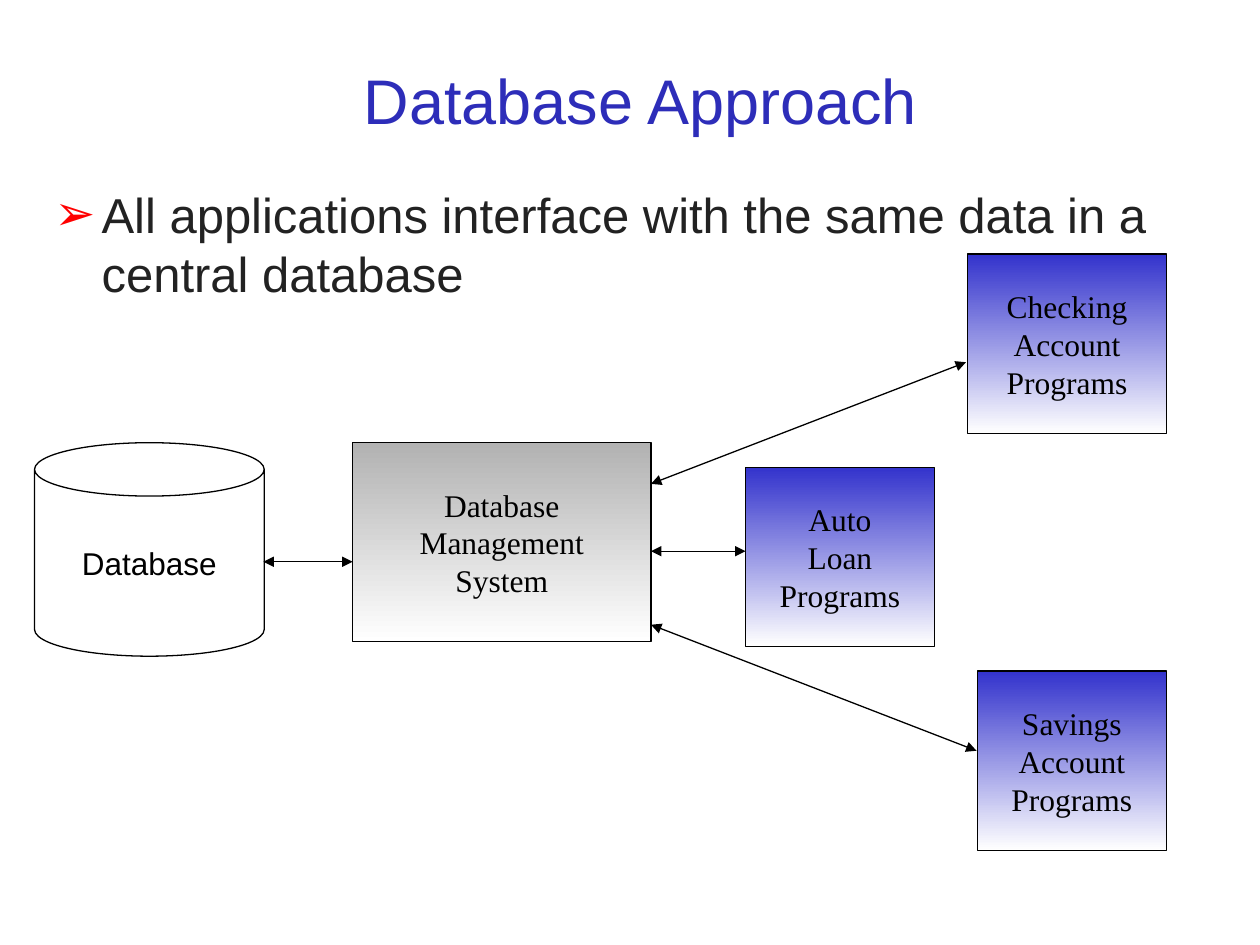
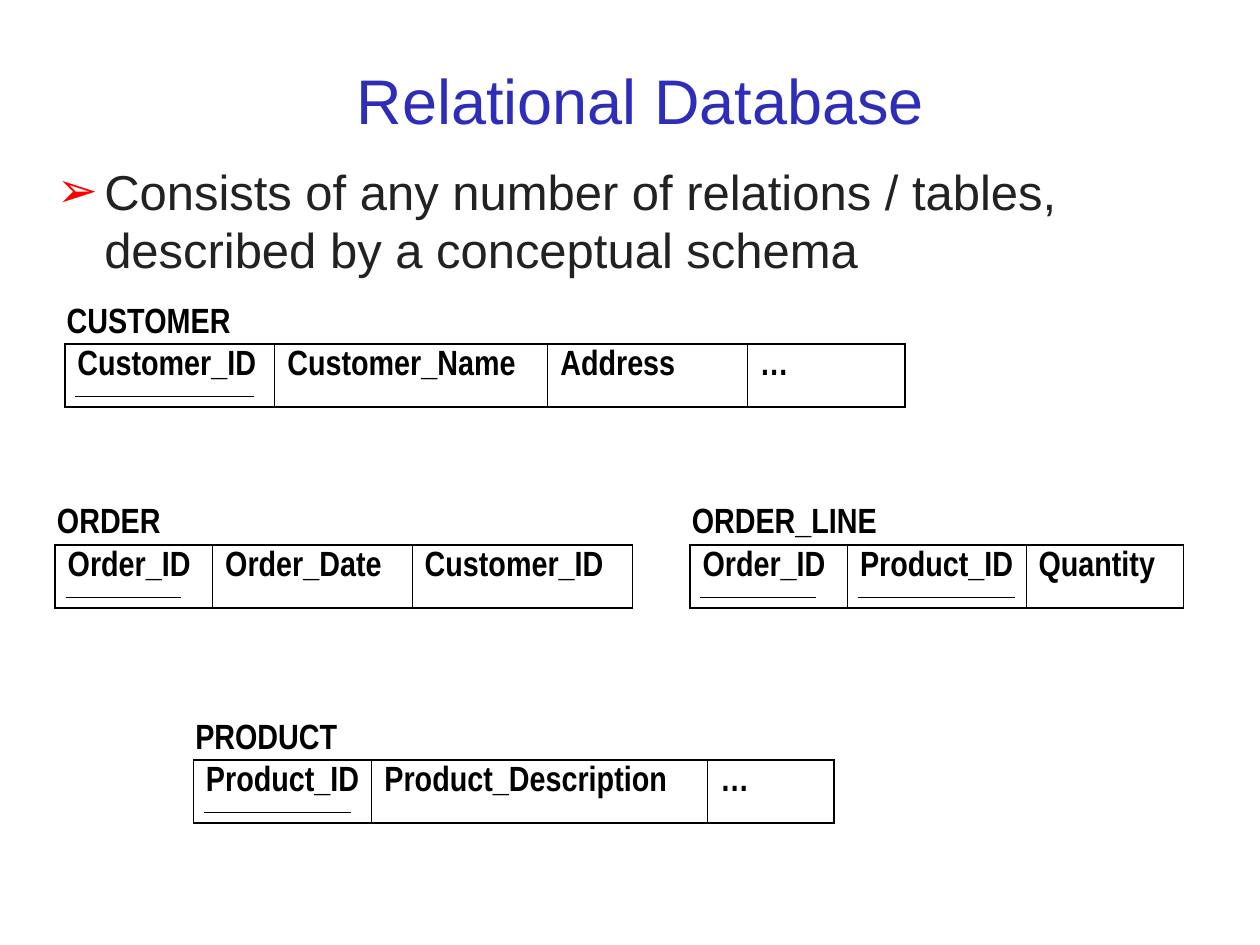
"""Build two slides on the database approach and relational schemas."""
from dataclasses import dataclass

from lxml.etree import SubElement
from pptx import Presentation
from pptx.dml.color import RGBColor
from pptx.enum.shapes import MSO_CONNECTOR, MSO_SHAPE
from pptx.enum.text import MSO_ANCHOR, PP_ALIGN
from pptx.oxml import parse_xml
from pptx.oxml.ns import nsdecls, qn
from pptx.slide import Slide
from pptx.table import _Cell
from pptx.text.text import TextFrame, _Paragraph
from pptx.util import Pt

COLORS = {
    "title": "2D2DB9",
    "body": "222222",
    "bullet": "FF0000",
    "ink": "000000",
    "paper": "FFFFFF",
    "system": "B2B2B2",
    "program": "3333CC",
}
LINE_WIDTH = 0.75
OUTER_BORDER, INNER_BORDER = 1.08, 0.45
ROW_HEIGHT = 36
BULLET_INDENT = 27


@dataclass(frozen=True)
class Component:
    lines: tuple[str, ...]
    left: float
    top: float
    width: float
    height: float
    color: str = "program"
    outline: MSO_SHAPE = MSO_SHAPE.RECTANGLE
    font: str = "Times New Roman"


@dataclass(frozen=True)
class Link:
    x1: float
    y1: float
    x2: float
    y2: float


@dataclass(frozen=True)
class Field:
    name: str
    width: float
    key_length: float = 0


@dataclass(frozen=True)
class Relation:
    name: str
    left: float
    top: float
    fields: tuple[Field, ...]


COMPONENTS = (
    Component(("Database", "Management", "System"), 201.5, 253, 170.5, 113.75, "system"),
    Component(("Checking", "Account", "Programs"), 552.75, 145.25, 114, 102.5),
    Component(("Auto", "Loan", "Programs"), 426, 267, 108, 102.5),
    Component(("Savings", "Account", "Programs"), 558.5, 383.5, 108, 102.5),
    Component(("Database",), 19.75, 253, 131.25, 122, "paper", MSO_SHAPE.CAN, "Arial"),
)
LINKS = (
    Link(150.5, 321, 201.5, 321),
    Link(372, 276.5, 552, 207),
    Link(372, 315, 426, 315),
    Link(372, 357, 558, 429),
)
RELATIONS = (
    Relation("CUSTOMER", 37, 196.5, (
        Field("Customer_ID", 120, 102), Field("Customer_Name", 156),
        Field("Address", 114), Field("…", 90))),
    Relation("ORDER", 31.5, 311.25, (
        Field("Order_ID", 90, 66), Field("Order_Date", 114),
        Field("Customer_ID", 126))),
    Relation("ORDER_LINE", 394.25, 311.25, (
        Field("Order_ID", 90, 66), Field("Product_ID", 102, 90),
        Field("Quantity", 90))),
    Relation("PRODUCT", 110.5, 434.25, (
        Field("Product_ID", 102, 84), Field("Product_Description", 192),
        Field("…", 72))),
)


def rgb(color: str) -> RGBColor:
    """Return the named palette colour."""
    return RGBColor.from_string(COLORS[color])


def style(paragraph: _Paragraph, font: str, size: float, color: str = "ink",
          bold: bool = False) -> None:
    """Set the font shared by every run of a paragraph."""
    paragraph.font.name = font
    paragraph.font.size = Pt(size)
    paragraph.font.bold = bold
    paragraph.font.color.rgb = rgb(color)


def add_text_area(slide: Slide, left: float, top: float, width: float, height: float) -> TextFrame:
    """Add an empty wrapping text box and return its frame."""
    frame = slide.shapes.add_textbox(Pt(left), Pt(top), Pt(width), Pt(height)).text_frame
    frame.word_wrap = True
    return frame


def add_topic(deck: Presentation, title: str, statement: str, left: float, top: float,
              width: float, height: float) -> Slide:
    """Add a slide with its title and bulleted statement."""
    slide = deck.slides.add_slide(deck.slide_layouts[6])
    slide.background.fill.solid()
    slide.background.fill.fore_color.rgb = rgb("paper")

    heading = add_text_area(slide, 24, 12, 684, 90)
    heading.vertical_anchor = MSO_ANCHOR.MIDDLE
    heading.text = title
    heading.paragraphs[0].alignment = PP_ALIGN.CENTER
    style(heading.paragraphs[0], "Arial", 36, "title")

    body = add_text_area(slide, left, top, width, height)
    body.text = statement
    bullet = body.paragraphs[0]
    properties = bullet._p.get_or_add_pPr()
    properties.set("marL", str(Pt(BULLET_INDENT)))
    properties.set("indent", str(-Pt(BULLET_INDENT)))
    bullet_color = SubElement(properties, qn("a:buClr"))
    SubElement(bullet_color, qn("a:srgbClr"), val=COLORS["bullet"])
    SubElement(properties, qn("a:buFont"), typeface="Arial")
    SubElement(properties, qn("a:buChar"), char="➢")
    style(bullet, "Arial", 28, "body")
    return slide


def add_component(slide: Slide, component: Component) -> None:
    """Draw one part of the database architecture."""
    shape = slide.shapes.add_shape(
        component.outline, Pt(component.left), Pt(component.top),
        Pt(component.width), Pt(component.height))
    shape.shadow.inherit = False
    shape.line.color.rgb = rgb("ink")
    shape.line.width = Pt(LINE_WIDTH)
    if component.color == "paper":
        shape.fill.solid()
        shape.fill.fore_color.rgb = rgb("paper")
    else:
        shape.fill.gradient()
        shape.fill.gradient_angle = 270
        for stop, color in zip(shape.fill.gradient_stops, (component.color, "paper")):
            stop.color.rgb = rgb(color)
    frame = shape.text_frame
    frame.word_wrap = False
    frame.vertical_anchor = MSO_ANCHOR.MIDDLE
    frame.text = "\n".join(component.lines)
    for paragraph in frame.paragraphs:
        paragraph.alignment = PP_ALIGN.CENTER
        style(paragraph, component.font, 18)


def add_link(slide: Slide, link: Link, arrows: bool = False) -> None:
    """Draw a thin line, with arrowheads at both ends if wanted."""
    connector = slide.shapes.add_connector(
        MSO_CONNECTOR.STRAIGHT, Pt(link.x1), Pt(link.y1), Pt(link.x2), Pt(link.y2))
    connector.line.color.rgb = rgb("ink")
    connector.line.width = Pt(LINE_WIDTH)
    if arrows:
        for end in ("a:headEnd", "a:tailEnd"):
            SubElement(connector.line._get_or_add_ln(), qn(end), type="triangle")
    SubElement(connector._element.spPr, qn("a:effectLst"))


def set_borders(cell: _Cell, first: bool, last: bool) -> None:
    """Give a cell heavier borders on the outside of its table."""
    widths = {
        "lnL": OUTER_BORDER if first else INNER_BORDER,
        "lnR": OUTER_BORDER if last else INNER_BORDER,
        "lnT": OUTER_BORDER,
        "lnB": OUTER_BORDER,
    }
    properties = cell._tc.get_or_add_tcPr()
    for position, (side, width) in enumerate(widths.items()):
        properties.insert(position, parse_xml(
            f'<a:{side} {nsdecls("a")} w="{Pt(width)}"><a:solidFill>'
            f'<a:srgbClr val="{COLORS["ink"]}"/></a:solidFill></a:{side}>'))


def add_relation(slide: Slide, relation: Relation) -> None:
    """Draw a relation with its name, fields and key underlines."""
    label = add_text_area(slide, relation.left - 6, relation.top - 29.75, 130, 31.5)
    label.text = relation.name
    style(label.paragraphs[0], "Arial Narrow", 20, bold=True)

    fields = relation.fields
    table = slide.shapes.add_table(
        1, len(fields), Pt(relation.left), Pt(relation.top),
        Pt(sum(field.width for field in fields)), Pt(ROW_HEIGHT)).table
    table.first_row = table.horz_banding = False
    table.rows[0].height = Pt(ROW_HEIGHT)
    field_left = relation.left
    for index, field in enumerate(fields):
        table.columns[index].width = Pt(field.width)
        cell = table.cell(0, index)
        cell.margin_right = Pt(0)
        cell.fill.background()
        set_borders(cell, index == 0, index == len(fields) - 1)
        cell.text = field.name
        style(cell.text_frame.paragraphs[0], "Arial Narrow", 20, bold=True)
        if field.key_length:
            start, level = field_left + 6, relation.top + 30
            add_link(slide, Link(start, level, start + field.key_length, level))
        field_left += field.width


def main() -> None:
    """Build and save the deck."""
    deck = Presentation()
    deck.slide_width, deck.slide_height = Pt(720), Pt(540)

    approach = add_topic(
        deck, "Database Approach",
        "All applications interface with the same data in a central database",
        24, 102, 684, 390)
    for component in COMPONENTS:
        add_component(approach, component)
    for link in LINKS:
        add_link(approach, link, arrows=True)

    schema = add_topic(
        deck, "Relational Database",
        "Consists of any number of relations / tables, described by a conceptual schema",
        25.5, 88.5, 678, 413)
    for relation in RELATIONS:
        add_relation(schema, relation)

    deck.save("out.pptx")


if __name__ == "__main__":
    main()
